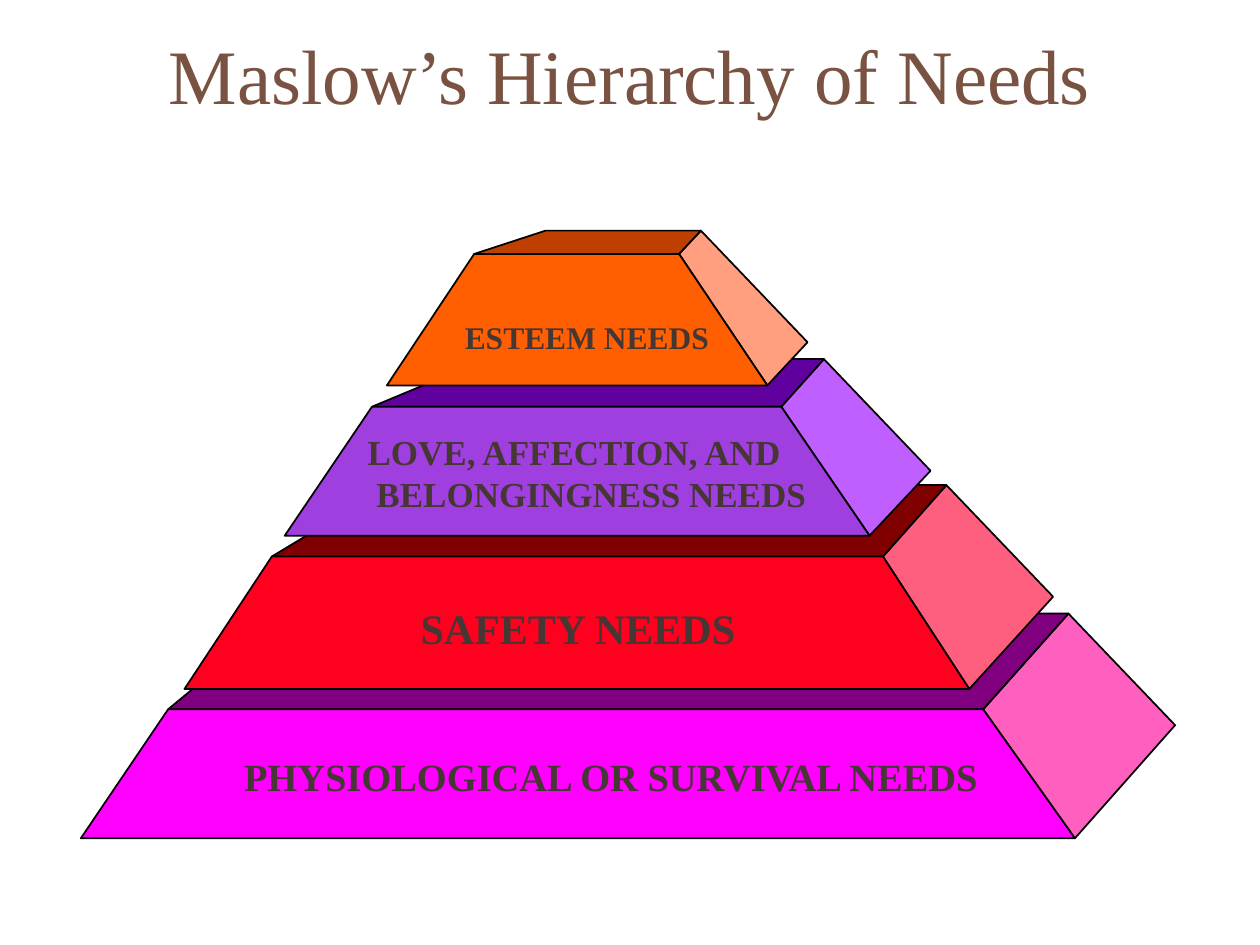
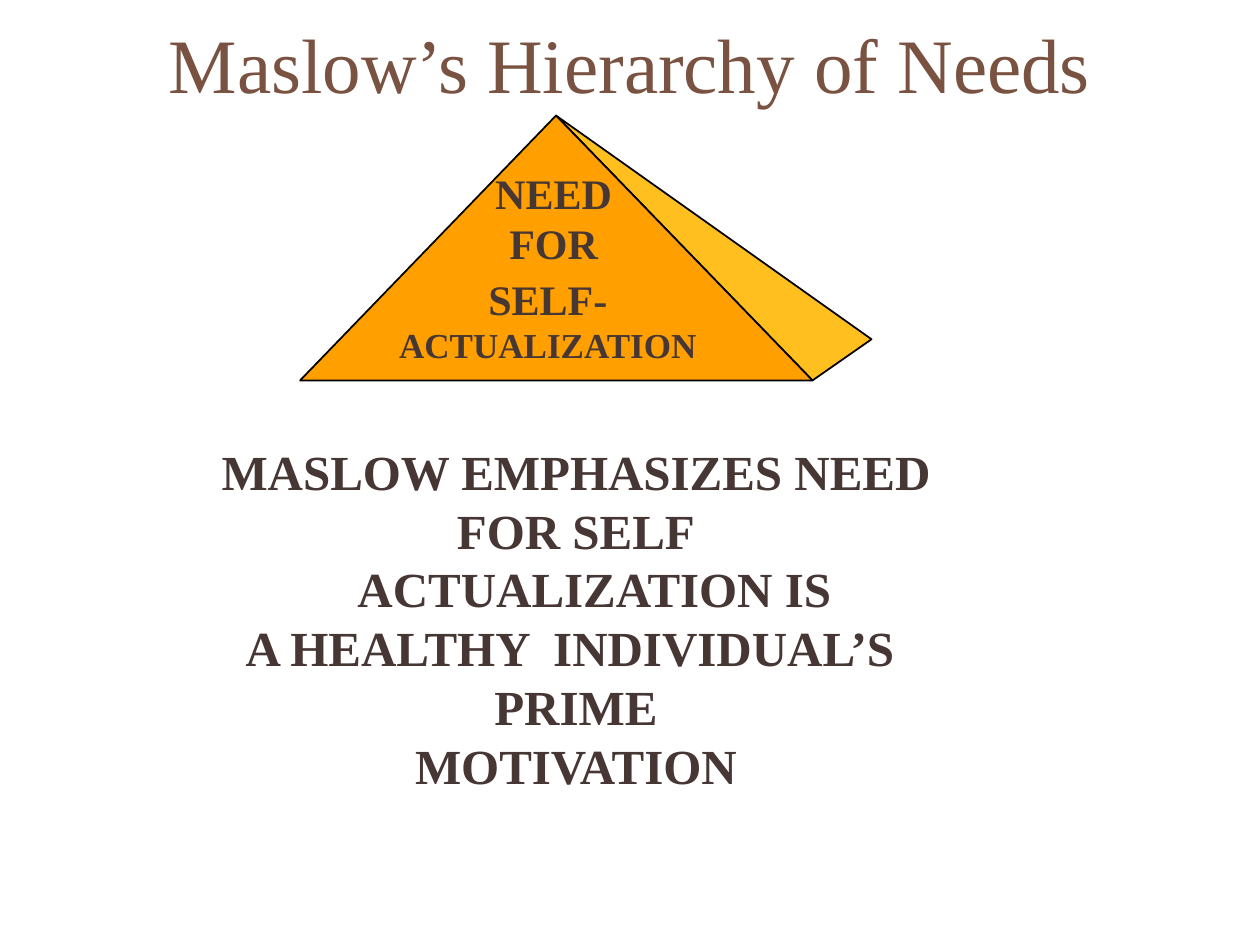
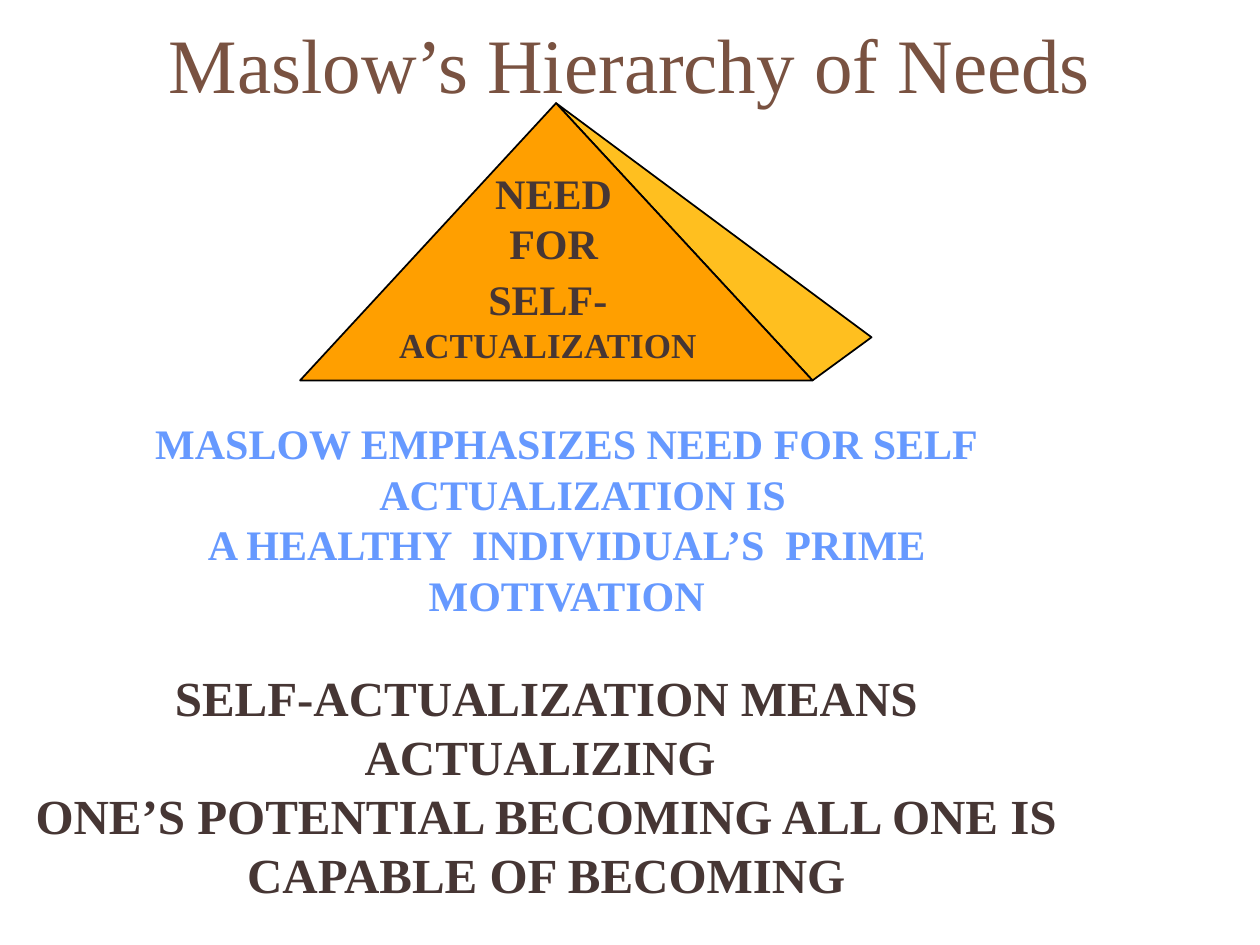
"""Build three slides on Maslow's hierarchy of needs."""
from dataclasses import dataclass

from pptx import Presentation
from pptx.dml.color import RGBColor
from pptx.enum.text import MSO_ANCHOR, MSO_AUTO_SIZE, PP_ALIGN
from pptx.presentation import Presentation as Deck
from pptx.slide import Slide
from pptx.util import Cm, Pt

FONT = "Times New Roman"
TITLE_TEXT = "Maslow’s Hierarchy of Needs"
TITLE_BROWN = RGBColor(0x79, 0x52, 0x41)
TEXT_BROWN = RGBColor(0x46, 0x36, 0x34)
QUIET_BLUE = RGBColor(0x66, 0x99, 0xFF)
BLACK = RGBColor(0x00, 0x00, 0x00)
WHITE = RGBColor(0xFF, 0xFF, 0xFF)
MAGENTA = RGBColor(0xFF, 0x00, 0xFF)
PURPLE = RGBColor(0x80, 0x00, 0x80)
PINK = RGBColor(0xFF, 0x5F, 0xBF)
RED = RGBColor(0xFF, 0x00, 0x1F)
MAROON = RGBColor(0x80, 0x00, 0x00)
ROSE = RGBColor(0xFF, 0x5F, 0x7F)
VIOLET = RGBColor(0x9F, 0x3F, 0xDF)
INDIGO = RGBColor(0x5F, 0x00, 0x9F)
LILAC = RGBColor(0xBF, 0x5F, 0xFF)
ORANGE = RGBColor(0xFF, 0x5F, 0x00)
RUST = RGBColor(0xBF, 0x3F, 0x00)
SALMON = RGBColor(0xFF, 0x9F, 0x7F)
AMBER = RGBColor(0xFF, 0x9F, 0x00)
GOLD = RGBColor(0xFF, 0xBF, 0x1F)

FRONT_INSET = 1.76
SIDE_RUN, SIDE_DROP = 2.15, 2.25

Point = tuple[float, float]
Frame = tuple[float, float, float, float]


@dataclass(frozen=True)
class Line:
    """One paragraph with its size in points and left indent in centimetres."""
    text: str
    size: float
    indent: float = 0


@dataclass(frozen=True)
class Tier:
    """One pyramid step: corners in centimetres, face colours and label."""
    base_left: float
    base_right: float
    base_y: float
    top_right: float
    top_y: float
    back_left: float
    back_right: float
    back_y: float
    front: RGBColor
    top: RGBColor
    side: RGBColor
    label_frame: Frame
    label: tuple[Line, ...]


TIERS = (
    Tier(1.63, 21.67, 16.9, 19.82, 14.3, 5.72, 21.54, 12.37, MAGENTA, PURPLE, PINK,
         (4.67, 15.06, 15.49, 1.17), (Line("PHYSIOLOGICAL OR SURVIVAL NEEDS", 22),)),
    Tier(3.72, 19.54, 13.89, 17.8, 11.22, 7.87, 19.08, 9.78, RED, MAROON, ROSE,
         (8.23, 12.02, 6.88, 1.27), (Line("SAFETY NEEDS", 24),)),
    Tier(5.74, 17.53, 10.8, 15.75, 8.2, 9.8, 16.61, 7.24, VIOLET, INDIGO, LILAC,
         (7.16, 8.56, 9.35, 1.93),
         (Line("LOVE, AFFECTION, AND", 20), Line("BELONGINGNESS NEEDS", 20, 0.18))),
    Tier(7.8, 15.47, 7.77, 13.69, 5.12, 11, 14.13, 4.65, ORANGE, RUST, SALMON,
         (9.12, 6.29, 5.44, 1.02), (Line("ESTEEM NEEDS", 18),)),
)


def add_page(deck: Deck, title_top: float) -> Slide:
    """Add a white slide with the shared title."""
    page = deck.slides.add_slide(deck.slide_layouts[5])
    page.background.fill.solid()
    page.background.fill.fore_color.rgb = WHITE
    title = page.shapes.title
    title.left, title.top, title.width, title.height = Cm(1.9), Cm(title_top), Cm(21.6), Cm(2.54)
    frame = title.text_frame
    frame.text = TITLE_TEXT
    frame.word_wrap = True
    frame.auto_size = MSO_AUTO_SIZE.NONE
    frame.vertical_anchor = MSO_ANCHOR.MIDDLE
    paragraph = frame.paragraphs[0]
    paragraph.alignment = PP_ALIGN.CENTER
    font = paragraph.runs[0].font
    font.name, font.size, font.color.rgb = FONT, Pt(44), TITLE_BROWN
    return page


def add_face(page: Slide, points: tuple[Point, ...], color: RGBColor) -> None:
    """Draw one outlined face through points given in centimetres."""
    corners = [(Cm(x), Cm(y)) for x, y in points]
    builder = page.shapes.build_freeform(*corners[0])
    builder.add_line_segments(corners[1:], close=True)
    face = builder.convert_to_shape()
    face.shadow.inherit = False
    face.fill.solid()
    face.fill.fore_color.rgb = color
    face.line.color.rgb = BLACK
    face.line.width = Pt(1)


def add_text(page: Slide, lines: tuple[Line, ...], frame: Frame, *,
             color: RGBColor = TEXT_BROWN, align: PP_ALIGN = PP_ALIGN.CENTER,
             wrap: bool = False) -> None:
    """Place bold lines in a text box."""
    box = page.shapes.add_textbox(*map(Cm, frame))
    text_frame = box.text_frame
    text_frame.word_wrap = wrap
    text_frame.auto_size = MSO_AUTO_SIZE.SHAPE_TO_FIT_TEXT
    for index, line in enumerate(lines):
        paragraph = text_frame.add_paragraph() if index else text_frame.paragraphs[0]
        paragraph.alignment = align
        if line.indent:
            paragraph._p.get_or_add_pPr().set("marL", str(Cm(line.indent)))
        span = paragraph.add_run()
        span.text = line.text
        font = span.font
        font.name, font.size, font.bold = FONT, Pt(line.size), True
        font.color.rgb = color


def add_tier(page: Slide, tier: Tier) -> None:
    """Draw the side, top and front of one step."""
    base_right = (tier.base_right, tier.base_y)
    top_left = (tier.base_left + FRONT_INSET, tier.top_y)
    top_right = (tier.top_right, tier.top_y)
    back_right = (tier.back_right, tier.back_y)
    far_corner = (tier.back_right + SIDE_RUN, tier.back_y + SIDE_DROP)
    add_face(page, (base_right, top_right, back_right, far_corner), tier.side)
    add_face(page, (top_left, top_right, back_right, (tier.back_left, tier.back_y)), tier.top)
    add_face(page, ((tier.base_left, tier.base_y), base_right, top_right, top_left), tier.front)


def add_peak(page: Slide, apex_y: float, far_y: float) -> None:
    """Draw the self-actualization peak with its label."""
    apex, base_right = (11.21, apex_y), (16.38, 7.67)
    add_face(page, (base_right, (17.57, far_y), apex), GOLD)
    add_face(page, ((6.05, 7.67), base_right, apex), AMBER)
    add_text(page, (Line("SELF-", 24), Line("ACTUALIZATION", 20)), (7.77, 5.38, 6.55, 2.11))
    add_text(page, (Line("NEED", 24), Line("FOR", 24)), (9.56, 3.25, 3.2, 2.29))


def emphasis_lines(size: float, indent: float) -> tuple[Line, ...]:
    """Return the statement on prime motivation at a given size."""
    return (
        Line("MASLOW EMPHASIZES NEED FOR SELF", size),
        Line("ACTUALIZATION IS", size, indent),
        Line("A HEALTHY  INDIVIDUAL’S  PRIME", size),
        Line("MOTIVATION", size),
    )


def main() -> None:
    """Build and save the deck."""
    deck = Presentation()
    deck.slide_width, deck.slide_height = Cm(25.4), Cm(19.05)

    page = add_page(deck, 0.21)
    for tier in TIERS:
        add_tier(page, tier)
    for tier in TIERS:
        add_text(page, tier.label, tier.label_frame, align=PP_ALIGN.LEFT)

    page = add_page(deck, 0)
    add_peak(page, 2.33, 6.84)
    add_text(page, emphasis_lines(28, 0.74), (3.33, 8.77, 16.56, 7.37), wrap=True)

    page = add_page(deck, 0)
    add_peak(page, 2.08, 6.8)
    add_text(page, emphasis_lines(24, 0.64), (2.75, 8.3, 17.35, 4.32),
             color=QUIET_BLUE, wrap=True)
    meaning = (
        "SELF-ACTUALIZATION MEANS ACTUALIZING ",
        "ONE’S POTENTIAL BECOMING ALL ONE IS",
        "CAPABLE OF BECOMING",
    )
    add_text(page, tuple(Line(text, 28) for text in meaning), (0, 13.34, 22.02, 4.98), wrap=True)

    deck.save("out.pptx")


if __name__ == "__main__":
    main()
